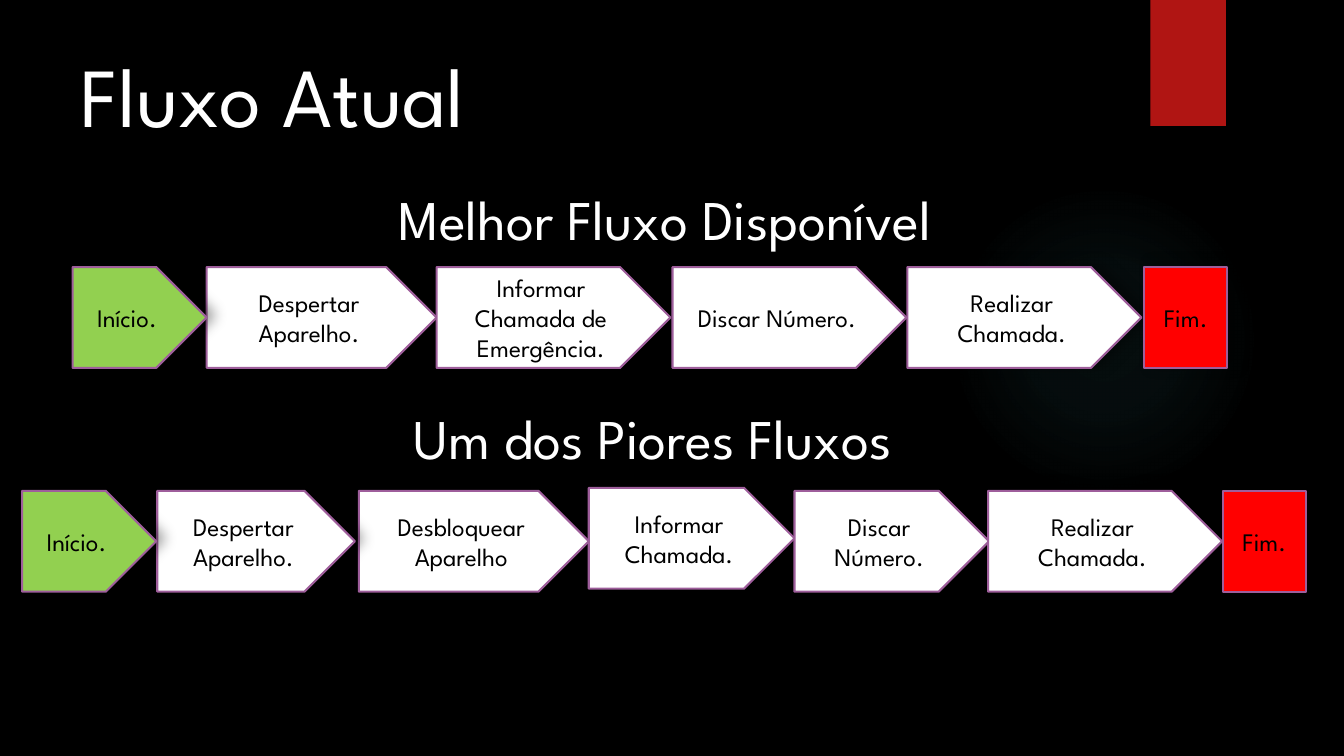
from lxml import etree
from pptx import Presentation
from pptx.dml.color import RGBColor
from pptx.enum.shapes import MSO_SHAPE
from pptx.enum.text import MSO_ANCHOR, PP_ALIGN
from pptx.oxml import parse_xml
from pptx.oxml.ns import qn
from pptx.util import Inches, Pt

PLATE, RECT, OVAL = MSO_SHAPE.PENTAGON, MSO_SHAPE.RECTANGLE, MSO_SHAPE.OVAL
LEFT, CENTER, MIDDLE = PP_ALIGN.LEFT, PP_ALIGN.CENTER, MSO_ANCHOR.MIDDLE
BLACK = RGBColor(0x00, 0x00, 0x00)
WHITE = RGBColor(0xFF, 0xFF, 0xFF)
GREEN = RGBColor(0x92, 0xD0, 0x50)
RED = RGBColor(0xFF, 0x00, 0x00)
BRICK = RGBColor(0xB0, 0x15, 0x13)
PLUM = RGBColor(0x9E, 0x5E, 0x9B)
TEAL = RGBColor(0x50, 0xB9, 0xC1)
FONT = "League Spartan"
NS = "http://schemas.openxmlformats.org/drawingml/2006/main"


def write(frame, text, size, color, align):
    frame.word_wrap = True
    para = frame.paragraphs[0]
    para.alignment = align
    run = para.add_run()
    run.text = text
    run.font.name = FONT
    run.font.size = Pt(size)
    run.font.color.rgb = color


def shade(shape, alpha, blur, dist, angle):
    shape.shadow.inherit = False
    effects = shape._element.spPr.find(qn("a:effectLst"))
    outer = etree.SubElement(effects, qn("a:outerShdw"), blurRad=str(Pt(blur)),
                             dist=str(Pt(dist)), dir=str(angle * 60000), rotWithShape="0")
    tone = etree.SubElement(outer, qn("a:srgbClr"), val=str(BLACK))
    etree.SubElement(tone, qn("a:alpha"), val=str(alpha * 1000))


prs = Presentation()
prs.slide_width, prs.slide_height = Inches(13.33), Inches(7.5)
slide = prs.slides.add_slide(prs.slide_layouts[6])
slide.background.fill.solid()
slide.background.fill.fore_color.rgb = BLACK
shapes = slide.shapes

glow = shapes.add_shape(OVAL, Inches(9.41), Inches(1.83), Inches(3.08), Inches(3.08))
glow.shadow.inherit = False
glow.line.fill.background()
stops = "".join(
    f'<a:gs pos="{pos * 1000}"><a:srgbClr val="{TEAL}"><a:alpha val="{alpha * 1000}"/></a:srgbClr></a:gs>'
    for pos, alpha in [(0, 7), (36, 6), (69, 0)])
glow._element.spPr.find(qn("a:prstGeom")).addnext(parse_xml(
    f'<a:gradFill xmlns:a="{NS}"><a:gsLst>{stops}</a:gsLst><a:path path="circle">'
    '<a:fillToRect l="50000" t="50000" r="50000" b="50000"/></a:path></a:gradFill>'))

tab = shapes.add_shape(RECT, Inches(11.41), Inches(0), Inches(0.75), Inches(1.25))
tab.fill.solid()
tab.fill.fore_color.rgb = BRICK
tab.line.fill.background()
shade(tab, 45, 3, 2, 90)

heads = [
    ("Fluxo Atual", 0.7, 0.38, 11.8, 1.11, 60, LEFT),
    ("Melhor Fluxo Disponível", 0.9, 1.78, 11.39, 0.77, 40, CENTER),
    ("Um dos Piores Fluxos", 0.78, 3.95, 11.39, 0.77, 40, CENTER),
]
for text, left, top, width, height, size, align in heads:
    box = shapes.add_textbox(Inches(left), Inches(top), Inches(width), Inches(height))
    write(box.text_frame, text, size, WHITE, align)

steps = [
    ("Despertar Aparelho.", 2.05, 2.65, 2.28, WHITE),
    ("Informar Chamada de Emergência.", 4.33, 2.65, 2.32, WHITE),
    ("Discar Número.", 6.67, 2.65, 2.32, WHITE),
    ("Realizar Chamada.", 9, 2.65, 2.32, WHITE),
    ("Início.", 0.72, 2.65, 1.33, GREEN),
    ("Fim.", 11.35, 2.65, 0.82, RED),
    ("Desbloquear Aparelho", 3.56, 4.87, 2.28, WHITE),
    ("Despertar Aparelho.", 1.56, 4.87, 1.96, WHITE),
    ("Informar Chamada.", 5.84, 4.84, 2.04, WHITE),
    ("Discar Número.", 7.88, 4.87, 1.93, WHITE),
    ("Realizar Chamada.", 9.8, 4.87, 2.32, WHITE),
    ("Início.", 0.22, 4.87, 1.33, GREEN),
    ("Fim.", 12.13, 4.87, 0.82, RED),
]
for text, left, top, width, color in steps:
    step = shapes.add_shape(PLATE, Inches(left), Inches(top), Inches(width), Inches(1))
    if color == RED:
        step.adjustments[0] = 0
    step.fill.solid()
    step.fill.fore_color.rgb = color
    step.line.color.rgb = PLUM
    step.line.width = Pt(1.5)
    shade(step, 38, 10, 6, 340)
    step.text_frame.vertical_anchor = MIDDLE
    write(step.text_frame, text, 18, BLACK, CENTER)

prs.save("out.pptx")
